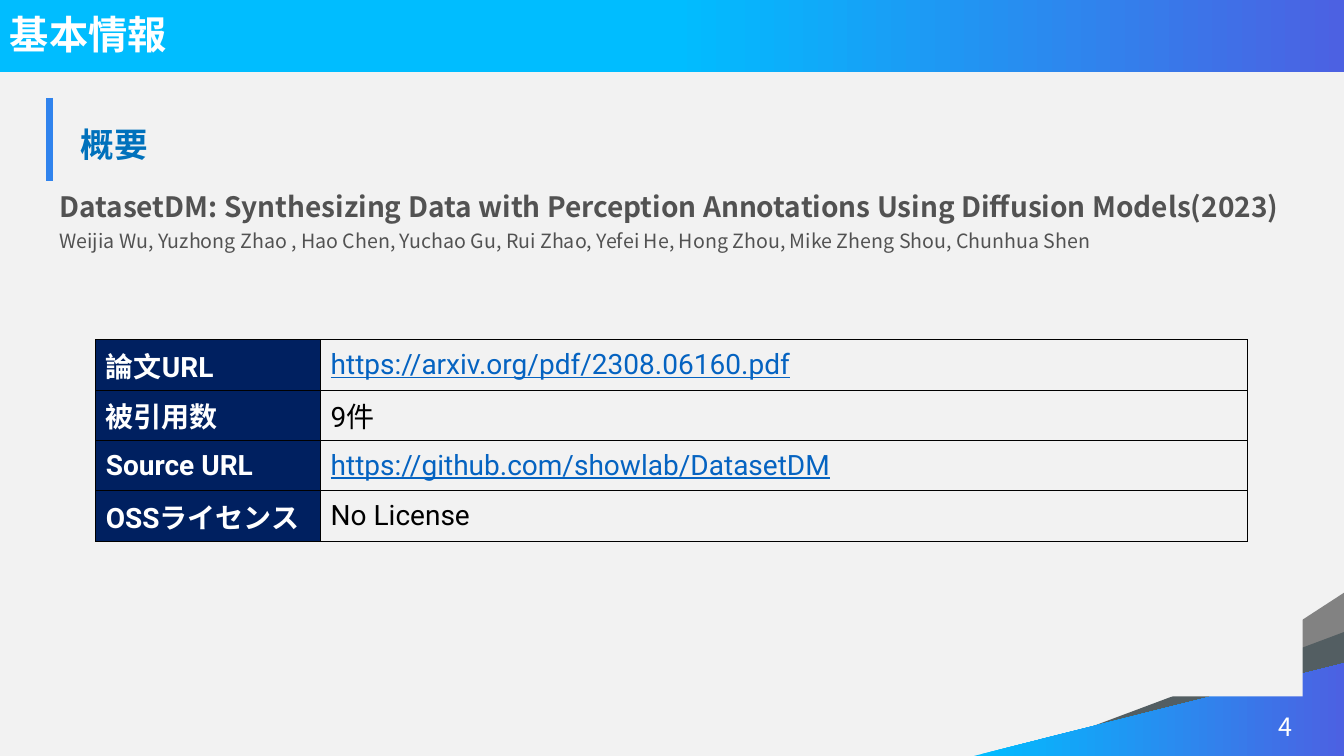
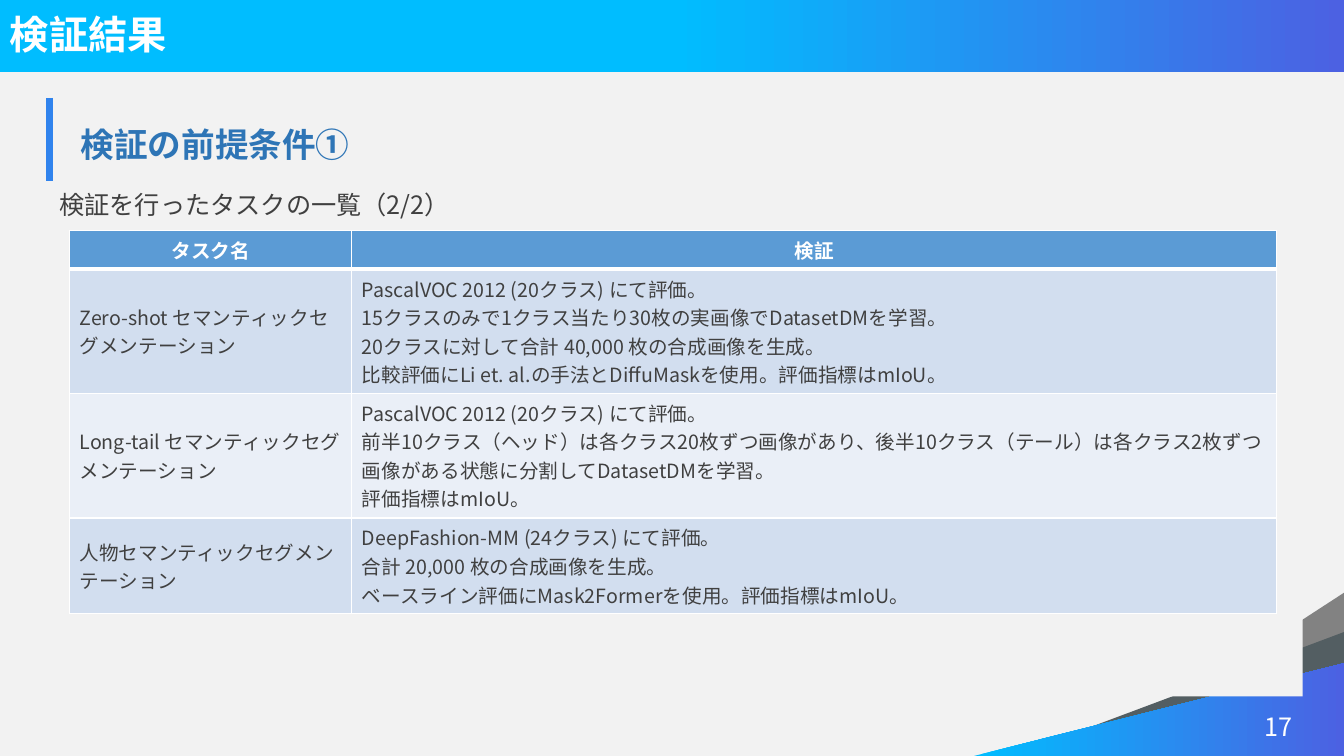
from dataclasses import dataclass, replace

from lxml import etree
from pptx import Presentation
from pptx.dml.color import RGBColor
from pptx.enum.shapes import MSO_SHAPE
from pptx.enum.text import MSO_ANCHOR, PP_ALIGN
from pptx.oxml.ns import qn
from pptx.util import Inches, Pt


@dataclass(frozen=True)
class TextStyle:
    size: int
    color: str
    bold: bool = False
    underline: bool = False
    font: str = "Noto Sans CJK JP"


class Theme:
    width, height = 13.33, 7.5
    margin, content_width = 0.49, 12.43
    east_asian_font = "Noto Sans CJK JP"
    plain_table_style = "{2D5ABB26-0587-4C30-8999-92F81FD0307C}"

    background = "F2F2F2"
    gradient = ("00BDFF", "4C61E2")
    corner_greys = ("828282", "535E62")
    accent = "3083ED"
    label_fill, label_border = "002060", "000000"
    header_fill, grid_border = "5B9BD5", "FFFFFF"
    bands = ("D2DEEF", "EAEFF7")

    title = TextStyle(28, "FFFFFF", bold=True)
    page_number = TextStyle(18, "FFFFFF")
    heading = TextStyle(24, "0071BC", bold=True)
    paper = TextStyle(20, "525252", bold=True)
    authors = TextStyle(14, "525252")
    lead = TextStyle(18, "404040")
    label = TextStyle(20, "FFFFFF", bold=True, font="Roboto")
    value = TextStyle(20, "000000", font="Roboto")
    link = replace(value, color="0563C1", underline=True)
    header = TextStyle(14, "FFFFFF", bold=True)
    body = TextStyle(14, "404040")


# Text
def style_paragraph(paragraph, style, align=PP_ALIGN.LEFT):
    paragraph.alignment = align
    for run in paragraph.runs:
        font = run.font
        font.size, font.bold, font.underline = Pt(style.size), style.bold, style.underline
        font.color.rgb = RGBColor.from_string(style.color)
        font.name = style.font
        east_asian = etree.SubElement(run._r.get_or_add_rPr(), qn("a:ea"))
        east_asian.set("typeface", Theme.east_asian_font)


def write(frame, text, style, align=PP_ALIGN.LEFT):
    frame.word_wrap = True
    frame.text = text
    for paragraph in frame.paragraphs:
        style_paragraph(paragraph, style, align)


def add_text(slide, box, text, style, align=PP_ALIGN.LEFT, anchor=MSO_ANCHOR.TOP):
    frame = slide.shapes.add_textbox(*map(Inches, box)).text_frame
    write(frame, text, style, align)
    frame.vertical_anchor = anchor


# Shapes
def add_plain_shape(slide, kind, box, color=None):
    shape = slide.shapes.add_shape(kind, *map(Inches, box))
    shape.shadow.inherit = False
    shape.line.fill.background()
    if color:
        shape.fill.solid()
        shape.fill.fore_color.rgb = RGBColor.from_string(color)
    return shape


def fill_gradient(shape, start):
    """Left-to-right brand gradient that does not turn with the shape."""
    shape.fill.gradient()
    shape.fill.gradient_angle = 0
    for stop, color, position in zip(shape.fill.gradient_stops, Theme.gradient, (start, 1)):
        stop.color.rgb = RGBColor.from_string(color)
        stop.position = position
    shape._element.spPr.find(qn("a:gradFill")).set("rotWithShape", "0")


def add_corner_wedge(slide, length, rise, color=None):
    """Right triangle resting in the bottom right corner of the slide."""
    left = Theme.width - (length + rise) / 2
    top = Theme.height - (length + rise) / 2
    wedge = add_plain_shape(slide, MSO_SHAPE.RIGHT_TRIANGLE, (left, top, rise, length), color)
    wedge.rotation = 270
    return wedge


# Tables
def add_plain_table(slide, left, top, widths, heights):
    frame = slide.shapes.add_table(
        len(heights), len(widths), Inches(left), Inches(top),
        Inches(sum(widths)), Inches(sum(heights)))
    table = frame.table
    table.first_row = table.horz_banding = False
    table._tbl.tblPr.find(qn("a:tableStyleId")).text = Theme.plain_table_style
    for column, width in zip(table.columns, widths):
        column.width = Inches(width)
    for row, height in zip(table.rows, heights):
        row.height = Inches(height)
    return table


def set_borders(cell, color, **widths):
    """Draw the given sides (L, R, T, B) with widths in points."""
    properties = cell._tc.get_or_add_tcPr()
    sides = [side for side in "LRTB" if side in widths]
    for index, side in enumerate(sides):
        line = etree.Element(qn(f"a:ln{side}"), w=str(Pt(widths[side])))
        solid = etree.SubElement(line, qn("a:solidFill"))
        etree.SubElement(solid, qn("a:srgbClr"), val=color)
        properties.insert(index, line)


def fill_cell(cell, text, style, fill=None, align=PP_ALIGN.LEFT, anchor=MSO_ANCHOR.MIDDLE):
    write(cell.text_frame, text, style, align)
    cell.vertical_anchor = anchor
    if fill:
        cell.fill.solid()
        cell.fill.fore_color.rgb = RGBColor.from_string(fill)
    else:
        cell.fill.background()


def add_heading(slide, text, color):
    table = add_plain_table(slide, Theme.margin, 0.97, [Theme.content_width], [0.83])
    cell = table.cell(0, 0)
    fill_cell(cell, text, replace(Theme.heading, color=color), Theme.background)
    cell.text_frame.paragraphs[0].line_spacing = 1.1
    cell.margin_left, cell.margin_right = Inches(0.31), Inches(0.2)
    cell.margin_top, cell.margin_bottom = Inches(0.16), Inches(0.14)
    set_borders(cell, Theme.accent, L=6)


def add_facts_table(slide, facts):
    table = add_plain_table(slide, 0.95, 3.37, [2.23, 9.19], [0.5] * len(facts))
    for row, (label, value, style) in enumerate(facts):
        fill_cell(table.cell(row, 0), label, Theme.label, Theme.label_fill)
        fill_cell(table.cell(row, 1), value, style)
    for cell in table.iter_cells():
        set_borders(cell, Theme.label_border, L=1, R=1, T=1, B=1)


def add_task_table(slide, headers, tasks):
    table = add_plain_table(slide, 0.69, 2.29, [2.8, 9.17], [0.38, 1.23, 1.24, 0.95])
    for column, header in enumerate(headers):
        cell = table.cell(0, column)
        fill_cell(cell, header, Theme.header, Theme.header_fill,
                  PP_ALIGN.CENTER, MSO_ANCHOR.TOP)
        set_borders(cell, Theme.grid_border, L=1, R=1, T=1, B=3)
    for row, (task, conditions) in enumerate(tasks, start=1):
        band = Theme.bands[(row - 1) % 2]
        top_line = 3 if row == 1 else 1
        fill_cell(table.cell(row, 0), task, Theme.body, band)
        fill_cell(table.cell(row, 1), "\n".join(conditions), Theme.body, band,
                  anchor=MSO_ANCHOR.TOP)
        for column in range(2):
            set_borders(table.cell(row, column), Theme.grid_border, L=1, R=1, T=top_line, B=1)


# Slide frame
def add_content_panel(slide, lines):
    box = (Theme.margin, 1.8, Theme.content_width, 5.11)
    frame = add_plain_shape(slide, MSO_SHAPE.RECTANGLE, box, Theme.background).text_frame
    frame.word_wrap = True
    frame.vertical_anchor = MSO_ANCHOR.TOP
    frame.text = "\n".join(text for text, _ in lines)
    for index, (paragraph, (_, style)) in enumerate(zip(frame.paragraphs, lines)):
        style_paragraph(paragraph, style)
        paragraph.line_spacing = 1.1
        if index:
            paragraph.space_before = Pt(2)


def add_base_slide(presentation, title, number, heading, heading_color, lines):
    slide = presentation.slides.add_slide(presentation.slide_layouts[6])
    slide.background.fill.solid()
    slide.background.fill.fore_color.rgb = RGBColor.from_string(Theme.background)

    # Title band and corner decoration
    band = add_plain_shape(slide, MSO_SHAPE.RECTANGLE, (0, 0, Theme.width, 0.71))
    fill_gradient(band, 0.5)
    for (length, rise), grey in zip(((2.49, 1.62), (3.28, 1.23)), Theme.corner_greys):
        add_corner_wedge(slide, length, rise, grey)
    fill_gradient(add_corner_wedge(slide, 3.67, 0.92), 0)

    # Content panel, title, page number and heading
    add_content_panel(slide, lines)
    add_text(slide, (0, 0, 10.83, 0.68), title, Theme.title, anchor=MSO_ANCHOR.MIDDLE)
    add_text(slide, (9.81, 7.01, 3.11, 0.27), str(number), Theme.page_number, PP_ALIGN.RIGHT)
    add_heading(slide, heading, heading_color)
    return slide


def main():
    presentation = Presentation()
    presentation.slide_width = Inches(Theme.width)
    presentation.slide_height = Inches(Theme.height)

    # Paper overview
    overview = add_base_slide(presentation, "基本情報", 4, "概要", "0071BC", [
        ("DatasetDM: Synthesizing Data with Perception Annotations Using Diffusion Models(2023)",
         Theme.paper),
        ("Weijia Wu, Yuzhong Zhao , Hao Chen, Yuchao Gu, Rui Zhao, Yefei He, Hong Zhou, "
         "Mike Zheng Shou, Chunhua Shen", Theme.authors),
    ])
    add_facts_table(overview, [
        ("論文URL", "https://arxiv.org/pdf/2308.06160.pdf", Theme.link),
        ("被引用数", "9件", Theme.value),
        ("Source URL", "https://github.com/showlab/DatasetDM", Theme.link),
        ("OSSライセンス", "No License", Theme.value),
    ])

    # Evaluation tasks
    evaluation = add_base_slide(presentation, "検証結果", 17, "検証の前提条件①", "2E75B6", [
        ("検証を行ったタスクの一覧（2/2）", Theme.lead),
    ])
    add_task_table(evaluation, ("タスク名", "検証"), [
        ("Zero-shot セマンティックセグメンテーション", [
            "PascalVOC 2012 (20クラス) にて評価。",
            "15クラスのみで1クラス当たり30枚の実画像でDatasetDMを学習。",
            "20クラスに対して合計 40,000 枚の合成画像を生成。",
            "比較評価にLi et. al.の手法とDiffuMaskを使用。評価指標はmIoU。",
        ]),
        ("Long-tail セマンティックセグメンテーション", [
            "PascalVOC 2012 (20クラス) にて評価。",
            "前半10クラス（ヘッド）は各クラス20枚ずつ画像があり、後半10クラス（テール）は"
            "各クラス2枚ずつ画像がある状態に分割してDatasetDMを学習。",
            "評価指標はmIoU。",
        ]),
        ("人物セマンティックセグメンテーション", [
            "DeepFashion-MM (24クラス) にて評価。",
            "合計 20,000 枚の合成画像を生成。",
            "ベースライン評価にMask2Formerを使用。評価指標はmIoU。",
        ]),
    ])

    presentation.save("out.pptx")


if __name__ == "__main__":
    main()
